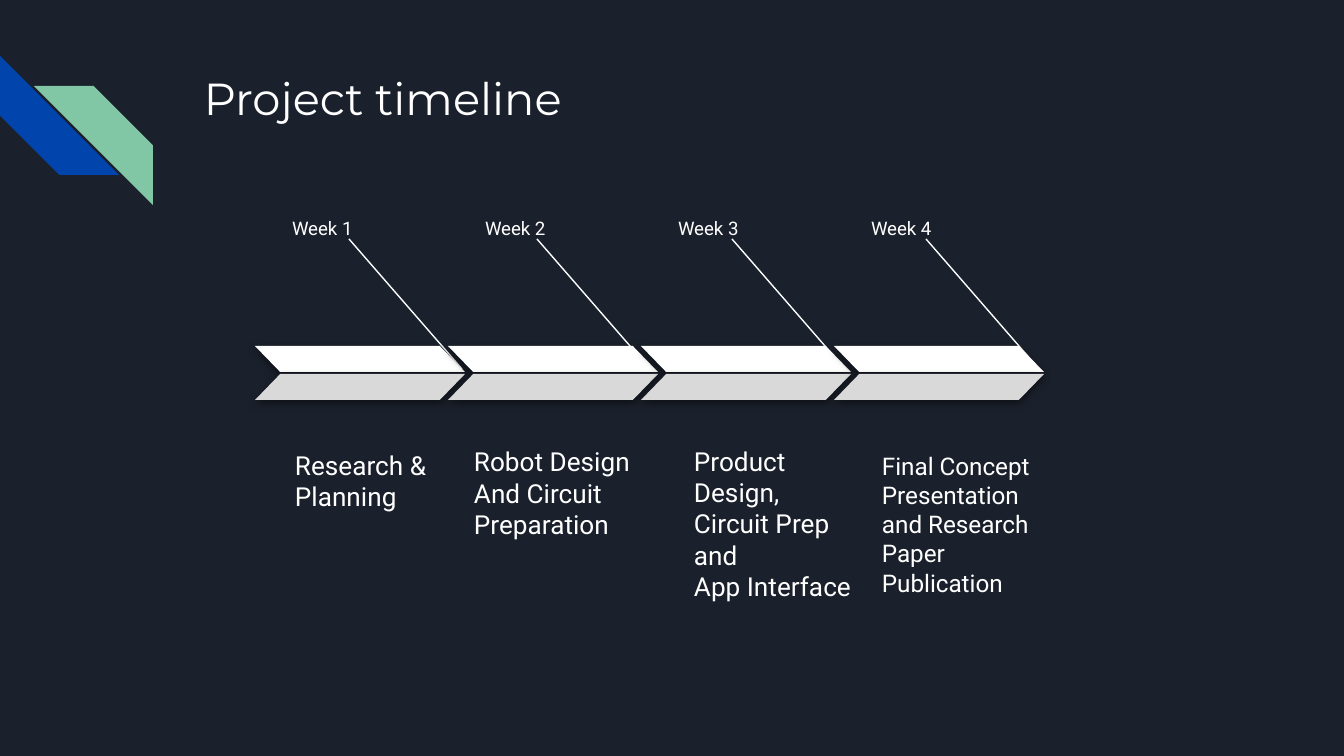
from pptx import Presentation
from pptx.dml.color import RGBColor
from pptx.enum.shapes import MSO_CONNECTOR, MSO_SHAPE
from pptx.enum.text import MSO_ANCHOR
from pptx.oxml import parse_xml
from pptx.oxml.ns import nsdecls
from pptx.util import Pt

STRIPE = MSO_SHAPE.DIAGONAL_STRIPE
PARALLELOGRAM = MSO_SHAPE.PARALLELOGRAM
STRAIGHT = MSO_CONNECTOR.STRAIGHT
TOP, BOTTOM = MSO_ANCHOR.TOP, MSO_ANCHOR.BOTTOM

NAVY = RGBColor(0x1B, 0x21, 0x2C)
BLUE = RGBColor(0x01, 0x45, 0xAC)
GREEN = RGBColor(0x82, 0xC7, 0xA5)
WHITE = RGBColor(0xFF, 0xFF, 0xFF)
GRAY = RGBColor(0xD9, 0xD9, 0xD9)

SLIDE_WIDTH, SLIDE_HEIGHT = 1344, 756
EMU_PER_PX = 9144000 / SLIDE_WIDTH
INSET = 13

WEEK_PITCH = 193
FIRST_LABEL_X, LABEL_Y = 279, 206
FIRST_ARROW_X = 255
ARROW_WIDTH, ARROW_HALF_HEIGHT = 210, 26
UPPER_Y, LOWER_Y = 346, 374
LEADER_Y, LEADER_WIDTH, LEADER_HEIGHT = 239, 113, 130
TASK_WIDTH, TASK_HEIGHT = 202, 79

# leader start x, task left, task top, task size in points, task lines
WEEKS = [
    (349, 282, 446, 14, ["Research & Planning"]),
    (537, 461, 474, 14, ["Robot Design", "And Circuit Preparation"]),
    (732, 681, 536, 14, ["Product Design,", "Circuit Prep and", "App Interface"]),
    (926, 869, 531, 13,
     ["Final Concept Presentation and Research Paper Publication"]),
]


def px(length):
    return round(length * EMU_PER_PX)


def add_text(slide, lines, left, top, width, height, *, size,
             font="Roboto", color=WHITE, anchor=TOP):
    box = slide.shapes.add_textbox(px(left), px(top), px(width), px(height))
    frame = box.text_frame
    frame.word_wrap = True
    frame.vertical_anchor = anchor
    frame.margin_left = frame.margin_right = px(INSET)
    frame.margin_top = frame.margin_bottom = px(INSET)
    frame.text = "\n".join(lines)
    for paragraph in frame.paragraphs:
        paragraph.font.size = Pt(size)
        paragraph.font.name = font
        paragraph.font.color.rgb = color


def add_preset(slide, kind, left, top, width, height, *, fill, adjust,
               flipped=False, rotation=0):
    shape = slide.shapes.add_shape(kind, px(left), px(top), px(width), px(height))
    shape.adjustments[0] = adjust
    shape.rotation = rotation
    shape.fill.solid()
    shape.fill.fore_color.rgb = fill
    shape.line.fill.background()
    shape.shadow.inherit = False
    if flipped:
        shape.element.spPr.xfrm.set("flipH", "1")
    return shape


def add_soft_shadow(shape):
    effects = shape.element.spPr.find(
        "{http://schemas.openxmlformats.org/drawingml/2006/main}effectLst")
    effects.append(parse_xml(
        f'<a:outerShdw {nsdecls("a")} blurRad="{Pt(4.5)}" dist="{Pt(1.5)}" '
        'dir="5400000" algn="bl" rotWithShape="0">'
        '<a:srgbClr val="000000"><a:alpha val="50000"/></a:srgbClr>'
        '</a:outerShdw>'))


def add_leader(slide, left):
    """Draw the slanted line from a week label to its arrow tip."""
    leader = slide.shapes.add_connector(
        STRAIGHT, px(left), px(LEADER_Y),
        px(left + LEADER_WIDTH), px(LEADER_Y + LEADER_HEIGHT))
    leader.line.color.rgb = WHITE
    leader.line.width = Pt(0.75)
    leader.element.spPr.append(parse_xml(f'<a:effectLst {nsdecls("a")}/>'))


def add_arrow(slide, left):
    """Draw one timeline arrow from two mirrored halves."""
    for top, fill, flipped in ((UPPER_Y, WHITE, True), (LOWER_Y, GRAY, False)):
        half = add_preset(slide, PARALLELOGRAM, left, top, ARROW_WIDTH,
                          ARROW_HALF_HEIGHT, fill=fill, adjust=0.97,
                          flipped=flipped)
        add_soft_shadow(half)


def add_corner_stripes(slide):
    add_preset(slide, STRIPE, 0, 56, 119, 119, fill=BLUE, adjust=0.5, rotation=270)
    add_preset(slide, STRIPE, 34, 86, 119, 119, fill=GREEN, adjust=0.5, flipped=True)


def main():
    presentation = Presentation()
    presentation.slide_width = px(SLIDE_WIDTH)
    presentation.slide_height = px(SLIDE_HEIGHT)
    slide = presentation.slides.add_slide(presentation.slide_layouts[6])
    slide.background.fill.solid()
    slide.background.fill.fore_color.rgb = NAVY

    add_corner_stripes(slide)
    add_text(slide, ["Project timeline"], 191, 58, 1035, 134,
             size=24, font="Montserrat")

    for index, (leader_x, task_x, task_y, size, task) in enumerate(WEEKS):
        offset = index * WEEK_PITCH
        add_text(slide, [f"Week {index + 1}"], FIRST_LABEL_X + offset, LABEL_Y,
                 95, 42, size=10)
        add_text(slide, task, task_x, task_y, TASK_WIDTH, TASK_HEIGHT,
                 size=size, anchor=BOTTOM)
        add_leader(slide, leader_x)
        add_arrow(slide, FIRST_ARROW_X + offset)

    presentation.save("out.pptx")


if __name__ == "__main__":
    main()
